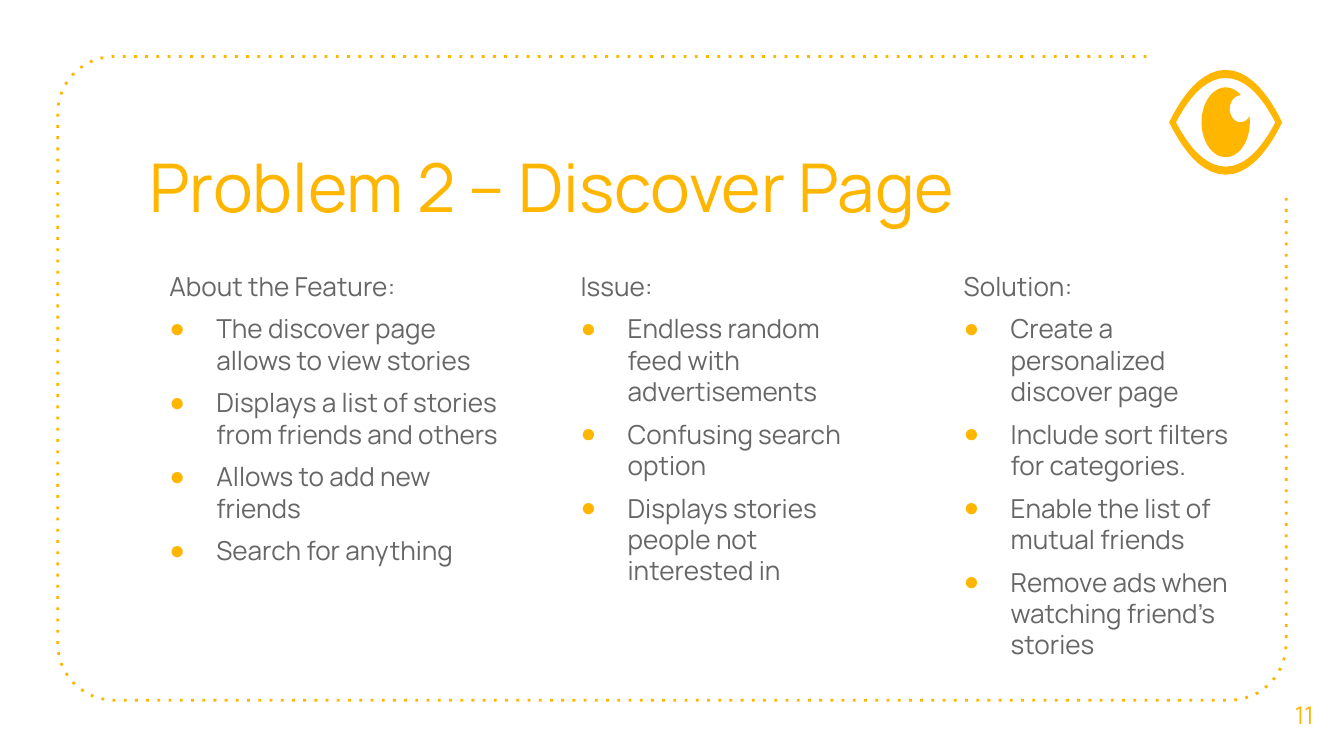
from math import cos, radians, sin

from lxml import etree
from pptx import Presentation
from pptx.dml.color import RGBColor
from pptx.enum.text import MSO_ANCHOR, MSO_AUTO_SIZE, PP_ALIGN
from pptx.oxml.ns import qn
from pptx.util import Inches, Pt

YELLOW = RGBColor(0xFF, 0xB6, 0x00)
GREY = RGBColor(0x66, 0x66, 0x66)
FONT = "Manrope"
BULLET_FONT = "Arial"
TOP, MIDDLE = MSO_ANCHOR.TOP, MSO_ANCHOR.MIDDLE
LEFT, CENTER = PP_ALIGN.LEFT, PP_ALIGN.CENTER
NO_FIT = MSO_AUTO_SIZE.NONE

# Content
TITLE = "Problem 2 – Discover Page"
PAGE_NUMBER = "11"
COLUMNS = [  # left, width, heading, bullets
    (1.01, 2.82, "About the Feature:", [
        "The discover page allows to view stories",
        "Displays a list of stories from friends and others",
        "Allows to add new friends",
        "Search for anything",
    ]),
    (4.07, 2.55, "Issue:", [
        "Endless random feed with advertisements",
        "Confusing search option",
        "Displays stories people not interested in",
    ]),
    (6.92, 2.55, "Solution:", [
        "Create a personalized discover page",
        "Include sort filters for categories.",
        "Enable the list of mutual friends",
        "Remove ads when watching friend’s stories",
    ]),
]
COLUMN_TOP, COLUMN_HEIGHT = 1.91, 3.19

# Frame and eye geometry, in inches
FRAME_LEFT, FRAME_TOP, FRAME_RIGHT, FRAME_BOTTOM = 0.43, 0.42, 9.57, 5.21
CORNER = 0.42
FRAME_START, FRAME_END = (8.53, FRAME_TOP), (FRAME_RIGHT, 1.46)
EYE_X, EYE_Y = 9.12, 0.91
# Bezier control points of one quarter of each lid edge, from the eye centre
OUTER_LID = [(0, 0.39), (0.23, 0.39), (0.38, 0.08), (0.42, 0)]
INNER_LID = [(0, 0.33), (0.2, 0.33), (0.33, 0.07), (0.37, 0)]


def arc(x, y, radius_x, radius_y, start, end, steps=12):
    """Points on an ellipse; angles run clockwise from the right."""
    angles = [radians(start + (end - start) * i / steps) for i in range(steps + 1)]
    return [(x + radius_x * cos(a), y + radius_y * sin(a)) for a in angles]


def bezier(controls, steps=12):
    points = []
    for i in range(steps + 1):
        t = i / steps
        weights = ((1 - t) ** 3, 3 * t * (1 - t) ** 2, 3 * t * t * (1 - t), t ** 3)
        points.append(tuple(sum(w * c for w, c in zip(weights, axis))
                            for axis in zip(*controls)))
    return points


def lid(controls):
    """Full lid edge, mirrored from its top right quarter."""
    quarter = bezier(controls)
    right = quarter + [(x, -y) for x, y in reversed(quarter[:-1])]
    whole = right + [(-x, y) for x, y in reversed(right[1:-1])]
    return [(EYE_X + x, EYE_Y - y) for x, y in whole]


def draw_outline(page, contours, close=True):
    contours = [[(Inches(x), Inches(y)) for x, y in points] for points in contours]
    builder = page.shapes.build_freeform(*contours[0][0])
    builder.add_line_segments(contours[0][1:], close=close)
    for points in contours[1:]:
        builder.move_to(*points[0])
        builder.add_line_segments(points[1:], close=close)
    shape = builder.convert_to_shape()
    shape.shadow.inherit = False
    return shape


def fill_yellow(shape):
    shape.fill.solid()
    shape.fill.fore_color.rgb = YELLOW
    shape.line.fill.background()


def place(box, left, top, width, height, anchor=TOP):
    box.left, box.top = Inches(left), Inches(top)
    box.width, box.height = Inches(width), Inches(height)
    frame = box.text_frame
    frame.word_wrap = True
    frame.auto_size = NO_FIT
    frame.vertical_anchor = anchor
    frame.margin_left = frame.margin_right = Inches(0.1)
    frame.margin_top = frame.margin_bottom = Inches(0.1)
    return frame


def write(para, text, size, color, align=LEFT):
    para.alignment = align
    span = para.add_run()
    span.text = text
    span.font.name = FONT
    span.font.size = Pt(size)
    span.font.bold = False
    span.font.color.rgb = color


def set_bullet(para, bulleted):
    props = para._p.get_or_add_pPr()
    props.set("marL", str(Inches(0.5 if bulleted else 0.15)))
    props.set("indent", str(Inches(-0.35 if bulleted else 0)))
    if not bulleted:
        etree.SubElement(props, qn("a:buNone"))
        return
    color = etree.SubElement(props, qn("a:buClr"))
    etree.SubElement(color, qn("a:srgbClr"), val=str(YELLOW))
    etree.SubElement(props, qn("a:buFont"), typeface=BULLET_FONT)
    etree.SubElement(props, qn("a:buChar"), char="●")


deck = Presentation()
deck.slide_width = Inches(10)
deck.slide_height = deck.slide_width * 9 // 16
page = deck.slides.add_slide(deck.slide_layouts.get_by_name("Comparison"))
title, *bodies = page.placeholders

# Dotted frame, open at the top right corner
near_x, far_x = FRAME_LEFT + CORNER, FRAME_RIGHT - CORNER
near_y, far_y = FRAME_TOP + CORNER, FRAME_BOTTOM - CORNER
border = draw_outline(page, [[
    FRAME_START,
    *arc(near_x, near_y, CORNER, CORNER, 270, 180),
    *arc(near_x, far_y, CORNER, CORNER, 180, 90),
    *arc(far_x, far_y, CORNER, CORNER, 90, 0),
    FRAME_END,
]], close=False)
border.fill.background()
border.line.color.rgb = YELLOW
border.line.width = Pt(1.5)
etree.SubElement(border._element.spPr.find(qn("a:ln")), qn("a:prstDash"), val="dot")

# Title
write(place(title, 1.01, 0.98, 7.51, 0.94).paragraphs[0], TITLE, 36, YELLOW)

# Three text columns
for body, (left, width, heading, bullets) in zip(bodies, COLUMNS):
    frame = place(body, left, COLUMN_TOP, width, COLUMN_HEIGHT)
    for index, text in enumerate([heading, *bullets]):
        para = frame.add_paragraph() if index else frame.paragraphs[0]
        set_bullet(para, index > 0)
        para.space_before = Pt(6 if index else 0)
        write(para, text, 14, GREY)
for spare in bodies[len(COLUMNS):]:
    spare._element.getparent().remove(spare._element)

# Page number
number = page.shapes.add_textbox(0, 0, 0, 0)
frame = place(number, 9.41, 5.02, 0.59, 0.6, MIDDLE)
write(frame.paragraphs[0], PAGE_NUMBER, 13, YELLOW, CENTER)

# Eye: lids with an opening, then the pupil with a notch of light
fill_yellow(draw_outline(page, [lid(OUTER_LID), lid(INNER_LID)[::-1]]))
pupil = arc(EYE_X, EYE_Y, 0.18, 0.26, -11, 307, 36)
light = arc(9.23, 0.81, 0.08, 0.1, -90, -330, 18)
fill_yellow(draw_outline(page, [pupil + light]))

deck.save("out.pptx")
